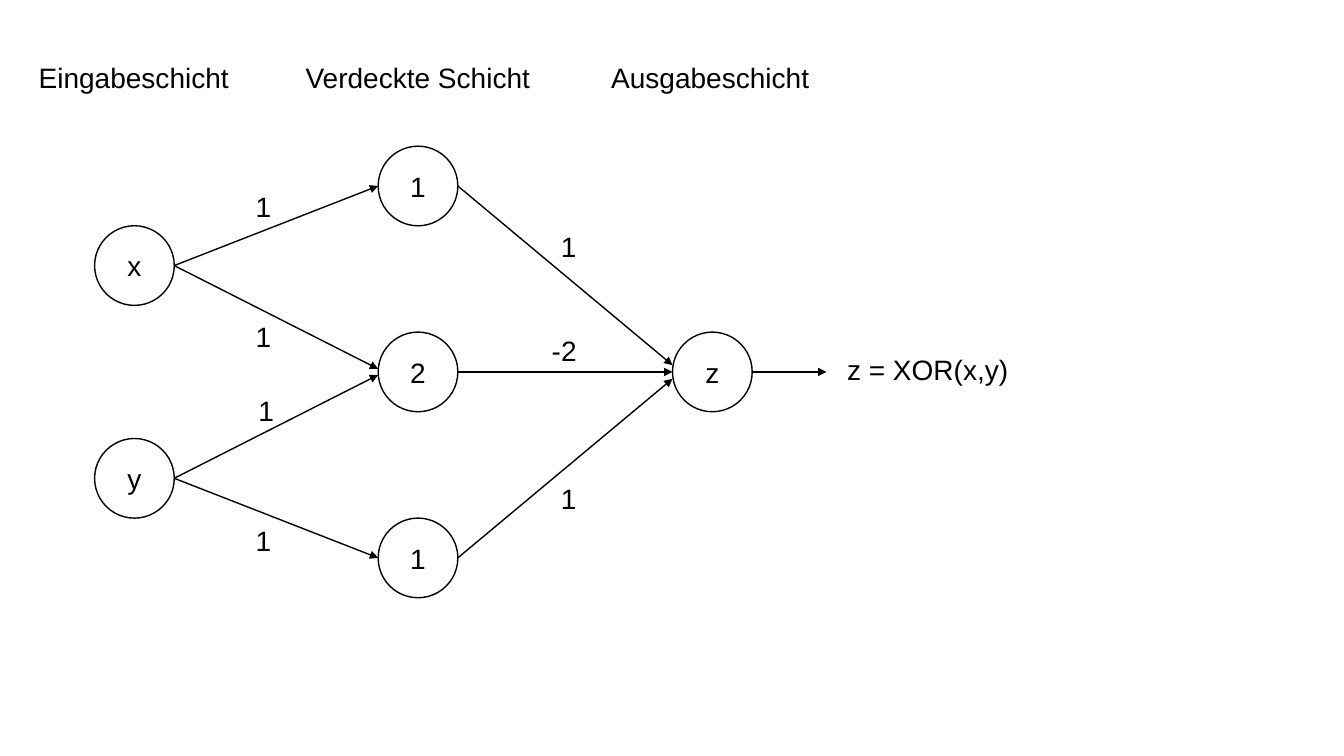
"""Build a slide with a neural network that computes XOR."""
from dataclasses import dataclass

from lxml.etree import SubElement
from pptx import Presentation
from pptx.dml.color import RGBColor
from pptx.enum.shapes import MSO_CONNECTOR as CXN, MSO_SHAPE as SHAPE
from pptx.enum.text import MSO_ANCHOR as ANCHOR, PP_ALIGN as ALIGN
from pptx.oxml.ns import qn
from pptx.slide import Slide
from pptx.text.text import TextFrame
from pptx.util import Inches, Pt

BLACK = RGBColor(0x00, 0x00, 0x00)
WHITE = RGBColor(0xFF, 0xFF, 0xFF)
FONT, SIZE = "Arial", Pt(20)
LINE_WIDTH = Pt(1)
WIDTH, HEIGHT = Inches(13.33), Inches(7.5)
DIAMETER = Inches(0.79)
TEXT_HEIGHT = Inches(0.44)

INPUT_COL, HIDDEN_COL, OUTPUT_COL = 10, 31.1, 53
ROW = 24.6
MIDDLE = 2 * ROW
INPUT_OFFSET = 14.07


@dataclass(frozen=True)
class Node:
    """A neuron, its centre given in percent of the slide."""
    text: str
    col: float
    row: float


@dataclass(frozen=True)
class Edge:
    """An arrow between neurons, landing a little off the target's middle."""
    source: Node
    target: Node
    landing: float = 0


@dataclass(frozen=True)
class Label:
    """A text, its centre in percent of the slide and its width in inches."""
    text: str
    col: float
    row: float
    width: float = 0.35


def x_at(col: float) -> int:
    """Turn a percentage of the slide width into a length."""
    return round(WIDTH * col / 100)


def y_at(row: float) -> int:
    """Turn a percentage of the slide height into a length."""
    return round(HEIGHT * row / 100)


def write(tf: TextFrame, text: str, align: ALIGN) -> None:
    """Write one run of text."""
    p = tf.paragraphs[0]
    p.alignment = align
    r = p.add_run()
    r.text = text
    r.font.name, r.font.size = FONT, SIZE
    r.font.color.rgb = BLACK


def add_node(s: Slide, node: Node) -> None:
    """Draw a neuron as a circle."""
    sp = s.shapes.add_shape(
        SHAPE.FLOWCHART_CONNECTOR, x_at(node.col) - DIAMETER // 2,
        y_at(node.row) - DIAMETER // 2, DIAMETER, DIAMETER)
    sp.shadow.inherit = False
    sp.fill.solid()
    sp.fill.fore_color.rgb = WHITE
    sp.line.color.rgb = BLACK
    sp.line.width = LINE_WIDTH
    sp.text_frame.vertical_anchor = ANCHOR.MIDDLE
    write(sp.text_frame, node.text, ALIGN.CENTER)


def add_label(s: Slide, label: Label) -> None:
    """Place a text box around its centre."""
    width = Inches(label.width)
    sp = s.shapes.add_textbox(
        x_at(label.col) - width // 2, y_at(label.row) - TEXT_HEIGHT // 2,
        width, TEXT_HEIGHT)
    write(sp.text_frame, label.text, ALIGN.LEFT)


def add_arrow(s: Slide, x1: int, y1: int, x2: int, y2: int) -> None:
    """Draw a straight arrow."""
    sp = s.shapes.add_connector(CXN.STRAIGHT, x1, y1, x2, y2)
    sp.line.color.rgb = BLACK
    sp.line.width = LINE_WIDTH
    SubElement(sp.line._get_or_add_ln(), qn("a:tailEnd"), type="triangle")
    SubElement(sp._element.spPr, qn("a:effectLst"))


def add_edge(s: Slide, edge: Edge) -> None:
    """Join the right side of one neuron to the left side of the next."""
    a, b = edge.source, edge.target
    add_arrow(s, x_at(a.col) + DIAMETER // 2, y_at(a.row),
              x_at(b.col) - DIAMETER // 2, y_at(b.row + edge.landing))


x = Node("x", INPUT_COL, MIDDLE - INPUT_OFFSET)
y = Node("y", INPUT_COL, MIDDLE + INPUT_OFFSET)
top, mid, low = (Node(text, HIDDEN_COL, ROW * i)
                 for i, text in enumerate(("1", "2", "1"), start=1))
z = Node("z", OUTPUT_COL, MIDDLE)

EDGES = (
    Edge(x, top), Edge(x, mid, -0.4), Edge(y, mid, 0.4), Edge(y, low),
    Edge(top, z, -0.9), Edge(mid, z), Edge(low, z, 0.9),
)
HEADINGS = (
    Label("Eingabeschicht", 10.2, 10.3, 2.15),
    Label("Verdeckte Schicht", 31.3, 10.3, 2.48),
    Label("Ausgabeschicht", 53.1, 10.3, 2.23),
)
WEIGHTS = (
    Label("1", 19.6, 27.3), Label("1", 19.6, 44.5),
    Label("1", 19.8, 54.3), Label("1", 19.6, 71.5),
    Label("1", 42.3, 32.7), Label("-2", 42, 46.4, 0.45),
    Label("1", 42.3, 66),
)
RESULT = Label("z = XOR(x,y)", 69.9, 48.9, 2.03)

prs = Presentation()
prs.slide_width, prs.slide_height = WIDTH, HEIGHT
s = prs.slides.add_slide(prs.slide_layouts[6])

for node in (x, y, top, mid, low, z):
    add_node(s, node)
for edge in EDGES:
    add_edge(s, edge)
add_arrow(s, x_at(z.col) + DIAMETER // 2, y_at(z.row),
          x_at(61.5), y_at(z.row))
for label in (*HEADINGS, *WEIGHTS, RESULT):
    add_label(s, label)

prs.save("out.pptx")
